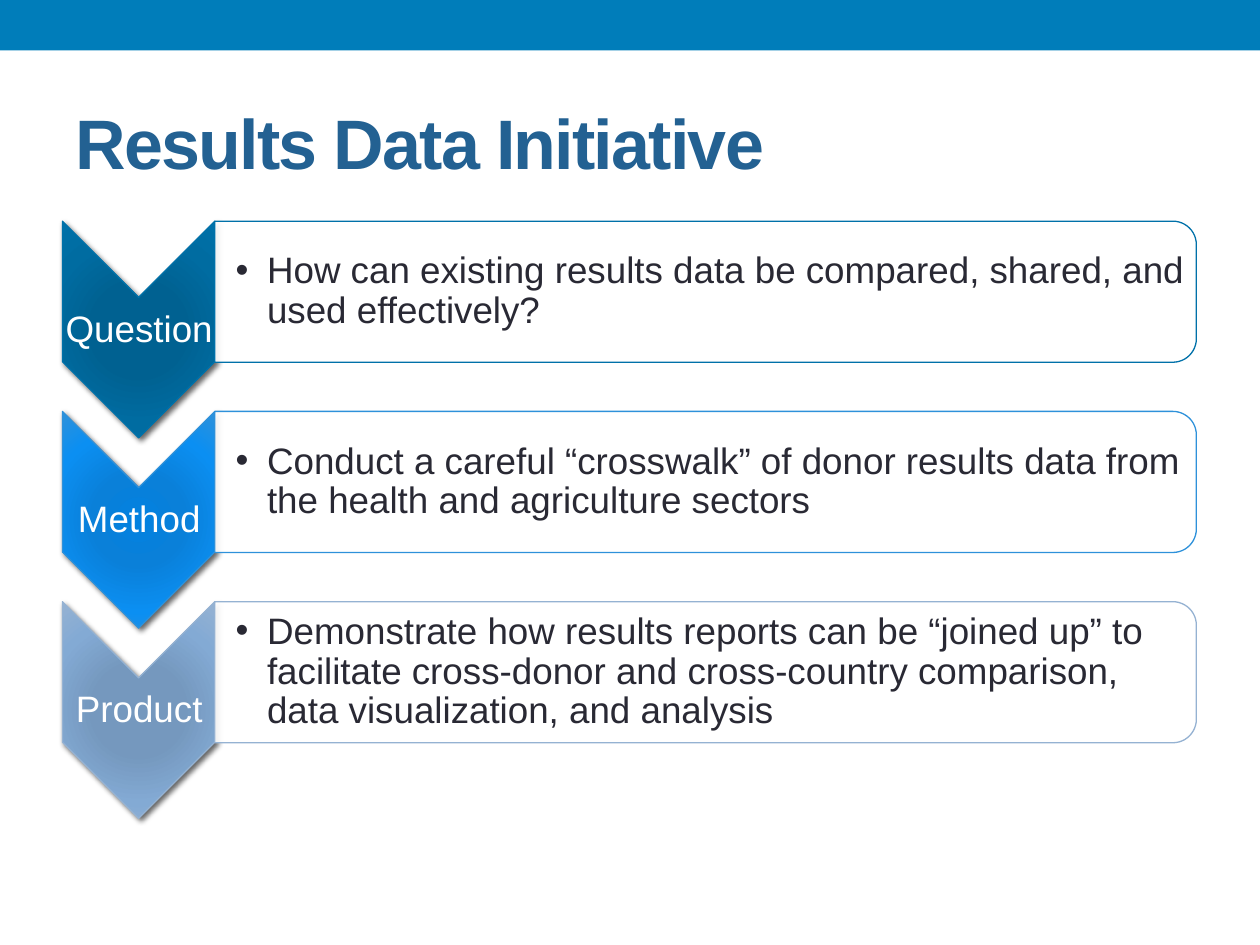
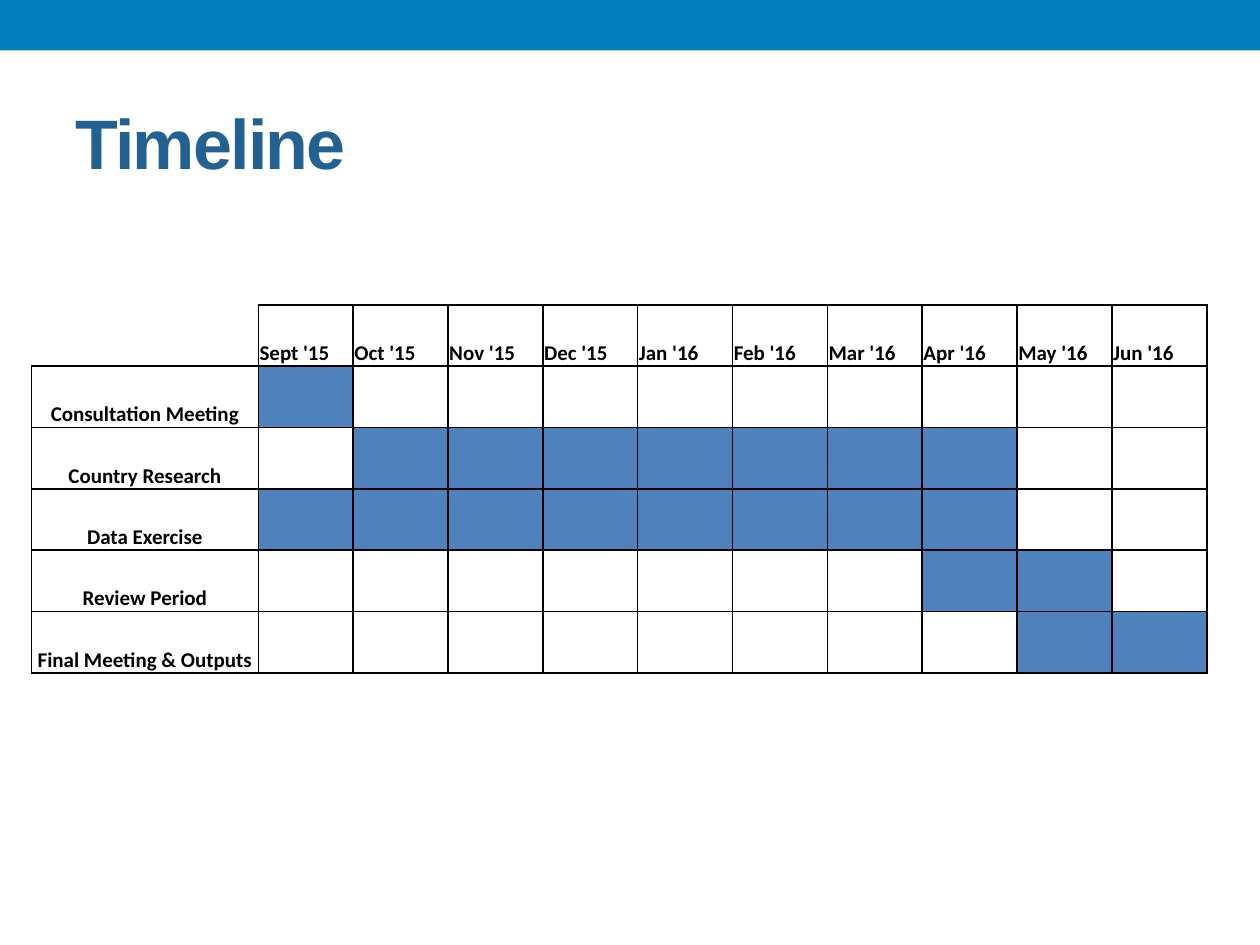
import pptx
import pptx.util
import pptx.oxml.ns
import pptx.dml.color
import pptx.enum.shapes
import pptx.enum.text
import lxml.etree

Inches, Pt = pptx.util.Inches, pptx.util.Pt
RGB = pptx.dml.color.RGBColor.from_string
SHAPE = pptx.enum.shapes.MSO_SHAPE
ALIGN = pptx.enum.text.PP_ALIGN
ANCHOR = pptx.enum.text.MSO_ANCHOR

THEME = {
    "band": "007DBA",
    "white": "FFFFFF",
    "black": "000000",
    "bar": "4F81BD",
    "title": {"color": "236192", "name": "Arial", "size": Pt(40), "bold": True},
    "label": {"color": "FFFFFF", "name": "Arial", "size": Pt(21)},
    "body": {"color": "292934", "name": "Arial", "size": Pt(21)},
    "cell": {"color": "000000", "name": "Calibri", "size": Pt(12), "bold": True},
}
TIGHT = {"margin_left": Inches(0.01), "margin_right": Inches(0.01),
         "margin_top": Inches(0.01), "margin_bottom": Inches(0.01),
         "vertical_anchor": ANCHOR.MIDDLE, "word_wrap": True}


def add_xml(parent, tag, **attrs):
    el = lxml.etree.SubElement(parent, pptx.oxml.ns.qn(tag))
    for key, value in attrs.items():
        el.set(key, str(value))
    return el


def write(tf, text, font, para, frame):
    p = tf.paragraphs[0]
    r = p.add_run()
    r.text = text
    r.font.color.rgb = RGB(font["color"])
    sizes = {k: v for k, v in font.items() if k != "color"}
    for obj, values in ((r.font, sizes), (p, para), (tf, frame)):
        for key, value in values.items():
            setattr(obj, key, value)
    return p


prs = pptx.Presentation()
prs.slide_width, prs.slide_height = Inches(10), Inches(7.5)
layout = prs.slide_layouts[5]

slides = []
for heading in ("Results Data Initiative", "Timeline"):
    s = prs.slides.add_slide(layout)
    sp = s.shapes.title
    sp.left, sp.top, sp.width, sp.height = map(Inches, (0.5, 0.58, 9, 1.08))
    p = write(sp.text_frame, heading, THEME["title"], {"alignment": ALIGN.LEFT},
              {"vertical_anchor": ANCHOR.MIDDLE})
    p.runs[0].font._element.set("spc", "-100")
    slides.append(s)

band = slides[0].shapes.add_shape(SHAPE.RECTANGLE, 0, 0, prs.slide_width, Inches(0.4))
band.shadow.inherit = False
band.fill.solid()
band.fill.fore_color.rgb = RGB(THEME["band"])
band.line.fill.background()
prs.slide_master.shapes.element.insert(2, band.element)

steps = [
    ("Question", "How can existing results data be compared, shared, and used effectively?",
     ("006191", "006191", "006CA1", "0071A9")),
    ("Method", "Conduct a careful “crosswalk” of donor results data from the health and "
     "agriculture sectors", ("0281E0", "0A80D9", "0B8FF2", "2E91DA")),
    ("Product", "Demonstrate how results reports can be “joined up” to facilitate cross-donor "
     "and cross-country comparison, data visualization, and analysis",
     ("7398C1", "7598BE", "83AAD4", "95B2D2")),
]
STEP_GAP = 1.51
shapes = slides[0].shapes
for i, (label, detail, shades) in enumerate(steps):
    y = i * STEP_GAP
    chevron = shapes.add_shape(SHAPE.CHEVRON, Inches(0.24), Inches(2.01 + y),
                               Inches(1.72), Inches(1.21))
    panel = shapes.add_shape(SHAPE.ROUND_2_SAME_RECTANGLE, Inches(5.04), Inches(y - 1.58),
                             Inches(1.12), Inches(7.79))
    for sp in (chevron, panel):
        sp.rotation = 90
        sp.shadow.inherit = False
        sp.line.color.rgb = RGB(shades[-1])
        sp.line.width = Pt(0.75)

    chevron.fill.background()
    spPr = chevron.element.spPr
    grad = add_xml(spPr, "a:gradFill", rotWithShape=1)
    stops = add_xml(grad, "a:gsLst")
    for pos, shade in zip((0, 34, 70, 100), shades):
        add_xml(add_xml(stops, "a:gs", pos=pos * 1000), "a:srgbClr", val=shade)
    add_xml(add_xml(grad, "a:path", path="circle"), "a:fillToRect",
            l=100000, t=100000, r=100000, b=100000)
    spPr.replace(spPr.find(pptx.oxml.ns.qn("a:noFill")), grad)
    shadow = add_xml(spPr.find(pptx.oxml.ns.qn("a:effectLst")), "a:outerShdw",
                     blurRad=Pt(3), dist=Pt(2), dir=45 * 60000, rotWithShape=0)
    add_xml(add_xml(shadow, "a:srgbClr", val=THEME["black"]), "a:alpha", val=60000)

    panel.fill.solid()
    panel.fill.fore_color.rgb = RGB(THEME["white"])
    fill = panel.element.spPr.find(pptx.oxml.ns.qn("a:solidFill"))
    add_xml(fill[0], "a:alpha", val=90000)

    sp = shapes.add_textbox(Inches(0.5), Inches(2.36 + y), Inches(1.21), Inches(0.52))
    write(sp.text_frame, label, THEME["label"],
          {"alignment": ALIGN.CENTER, "line_spacing": 0.9}, TIGHT)

    sp = shapes.add_textbox(Inches(1.71), Inches(1.81 + y), Inches(7.74), Inches(1.01))
    p = write(sp.text_frame, detail, THEME["body"], {"level": 1, "line_spacing": 0.9},
              {**TIGHT, "margin_left": Inches(0.16)})
    pPr = p._p.get_or_add_pPr()
    pPr.set("marL", str(Inches(0.25)))
    pPr.set("indent", str(Inches(-0.25)))
    add_xml(pPr, "a:buFont", typeface="Arial")
    add_xml(pPr, "a:buChar", char="•")

months = ["Sept '15", "Oct '15", "Nov '15", "Dec '15", "Jan '16",
          "Feb '16", "Mar '16", "Apr '16", "May '16", "Jun '16"]
tasks = [
    ("Consultation Meeting", "Sept '15", "Sept '15"),
    ("Country Research", "Oct '15", "Apr '16"),
    ("Data Exercise", "Sept '15", "Apr '16"),
    ("Review Period", "Apr '16", "May '16"),
    ("Final Meeting & Outputs", "May '16", "Jun '16"),
]
rows, cols = len(tasks) + 1, len(months) + 1
width, height, task_width = Inches(9.33), Inches(2.92), Inches(1.8)
table = slides[1].shapes.add_table(rows, cols, Inches(0.25), Inches(2.42), width, height).table
table.first_row = table.horz_banding = False
for j, col in enumerate(table.columns):
    col.width = task_width if j == 0 else (width - task_width) // len(months)
for row in table.rows:
    row.height = height // rows

cell_frame = {k: v for k, v in TIGHT.items() if k.startswith("margin")}
cell_frame.update(margin_bottom=0, vertical_anchor=ANCHOR.BOTTOM)
for i in range(rows):
    for j in range(cols):
        cell = table.cell(i, j)
        tcPr = cell._tc.get_or_add_tcPr()
        for side in ("RB" if i == j == 0 else "LRTB"):
            ln = add_xml(tcPr, "a:ln" + side, w=Pt(1))
            add_xml(add_xml(ln, "a:solidFill"), "a:srgbClr", val=THEME["black"])
        for key, value in cell_frame.items():
            setattr(cell, key, value)
        cell.fill.background()
        if i and j:
            first, last = map(months.index, tasks[i - 1][1:])
            if first <= j - 1 <= last:
                cell.fill.solid()
                cell.fill.fore_color.rgb = RGB(THEME["bar"])
        elif i or j:
            text, align = (tasks[i - 1][0], ALIGN.CENTER) if i else (months[j - 1], ALIGN.LEFT)
            write(cell.text_frame, text, THEME["cell"], {"alignment": align}, {})

prs.save("out.pptx")
